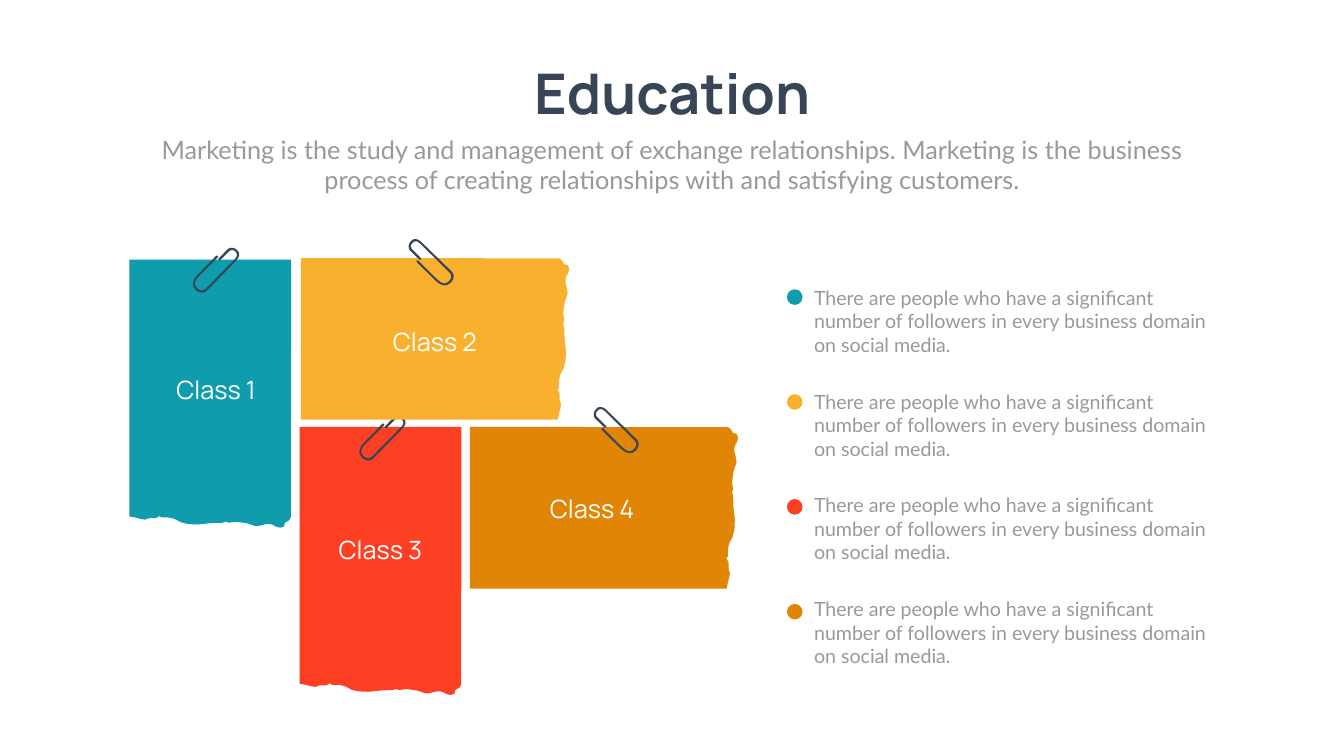
from dataclasses import dataclass

from pptx import Presentation
from pptx import util as u
from pptx.dml import color
from pptx.enum import shapes, text


@dataclass(frozen=True)
class Theme:
    background: str = "FEFFFE"
    dark: str = "374556"
    grey: str = "999999"
    white: str = "FFFFFF"
    teal: str = "0F9DAD"
    yellow: str = "FAB02F"
    red: str = "FD4024"
    orange: str = "E08505"
    heading_font: str = "Manrope"
    body_font: str = "Lato"
    title_size: int = 80
    label_size: int = 36
    subtitle_size: int = 36
    note_size: int = 28


THEME = Theme()
SHEET_WIDTH = 230
CLIP_WIDTH = 66.2
CURVE_STEPS = 6

TORN_EDGE = [
    (368, 0.5), (371.5, 2), (373.5, 4.5), (376, 9), (381, 10), (382.5, 13.5),
    (383, 16), (381.5, 22), (379, 26), (378, 30), (378, 36), (380, 44),
    (381, 50.5), (376.5, 64), (374.5, 79), (376, 89), (374.5, 93.5),
    (376, 98.5), (376.5, 114), (378.5, 133), (378, 146), (375.5, 157),
    (372, 163.5), (370, 168), (368.5, 175.5), (368.5, 185), (366.5, 188),
    (369.5, 193.5), (369.5, 203), (371.5, 209), (370.5, 215), (368.5, 222.5),
    (367, 231),
]

CLIP_START = (21, 60.5)
CLIP_SEGMENTS = [
    [(61, 19.5)],
    [(67.5, 13.5), (68.5, 7), (63.5, 3)],
    [(58.5, -2), (52.5, 0), (50.5, 1.5)],
    [(36.5, 16)],
    [(39, 18)],
    [(52.5, 4.5)],
    [(53.5, 3.5), (57.5, 1.5), (61, 5)],
    [(65, 8.5), (64, 13), (59, 17.5)],
    [(18.5, 58.5)],
    [(17.5, 59.5), (15, 60.5), (13.5, 60.5)],
    [(11.5, 61), (9.5, 60), (6.5, 57.5)],
    [(0.5, 51), (3.5, 46), (12, 37.5)],
    [(36, 13.5)],
    [(36.5, 13), (36.5, 12), (36, 11.5)],
    [(35.5, 11), (34, 11), (33.5, 11.5)],
    [(10, 35.5)],
    [(4.5, 41), (-5, 50.5), (4.5, 60)],
    [(7, 62.5), (11, 64), (13.5, 64)],
    [(16.5, 64), (18.5, 63), (21, 60.5)],
]

# name, colour, upright, sheet corner, clip corner, label corner
SHEETS = [
    ("Class 1", THEME.teal, True, (185.8, 370.8), (275, 354.2), (179.3, 530.6)),
    ("Class 3", THEME.red, True, (429.1, 609.8), (512.6, 594), (414, 760.3)),
    ("Class 4", THEME.orange, False, (671, 609.8), (848.2, 581.8), (716.4, 700.6)),
    ("Class 2", THEME.yellow, False, (429.8, 368.6), (583.9, 342), (491.8, 463)),
]
NOTE = ("There are people who have a significant number of followers "
        "in every business domain on social media.")
SUBTITLE = ("Marketing is the study and management of exchange relationships. "
            "Marketing is the business process of creating relationships "
            "with and satisfying customers.")


def paint(shape, fill):
    shape.shadow.inherit = False
    shape.fill.solid()
    shape.fill.fore_color.rgb = color.RGBColor.from_string(fill)
    shape.line.fill.background()


def add_text(slide, wording, box, font, size, fill, centred=True, wrap=True, bold=False):
    shape = slide.shapes.add_textbox(*(u.Pt(length) for length in box))
    frame = shape.text_frame
    frame.word_wrap = wrap
    frame.auto_size = text.MSO_AUTO_SIZE.SHAPE_TO_FIT_TEXT
    paragraph = frame.paragraphs[0]
    paragraph.alignment = text.PP_ALIGN.CENTER if centred else text.PP_ALIGN.LEFT
    run = paragraph.add_run()
    run.text = wording
    run.font.name = font
    run.font.size = u.Pt(size)
    run.font.bold = bold
    run.font.color.rgb = color.RGBColor.from_string(fill)


def add_outline(slide, points, corner, fill):
    left, top = corner
    placed = [(u.Pt(left + x), u.Pt(top + y)) for x, y in points]
    builder = slide.shapes.build_freeform(*placed[0])
    builder.add_line_segments(placed[1:], close=True)
    paint(builder.convert_to_shape(), fill)


def add_sheet(slide, upright, corner, fill):
    points = [(0, 0), *TORN_EDGE, (0, TORN_EDGE[-1][1])]
    if upright:
        points = [(SHEET_WIDTH - y, x) for x, y in points]
    add_outline(slide, points, corner, fill)


def curve_points(start, first, second, end):
    for step in range(1, CURVE_STEPS + 1):
        t = step / CURVE_STEPS
        weights = ((1 - t) ** 3, 3 * t * (1 - t) ** 2, 3 * t * t * (1 - t), t ** 3)
        corners = (start, first, second, end)
        yield tuple(sum(w * c[axis] for w, c in zip(weights, corners)) for axis in (0, 1))


def add_clip(slide, leaning_right, corner):
    points = [CLIP_START]
    for segment in CLIP_SEGMENTS:
        points.extend(segment if len(segment) == 1 else curve_points(points[-1], *segment))
    if not leaning_right:
        points = [(y, CLIP_WIDTH - x) for x, y in points]
    add_outline(slide, points, corner, THEME.dark)


def add_note(slide, index, fill):
    add_text(slide, NOTE, (1155.6, 404.6 + 148.3 * index, 584.6, 108.7),
             THEME.body_font, THEME.note_size, THEME.grey, centred=False)
    dot = slide.shapes.add_shape(
        shapes.MSO_SHAPE.OVAL, u.Pt(1123.9), u.Pt(413.3 + 149.8 * index),
        u.Pt(22.3), u.Pt(22.3))
    paint(dot, fill)


def main():
    presentation = Presentation()
    presentation.slide_width = u.Pt(1919.5)
    presentation.slide_height = u.Pt(1080)
    slide = presentation.slides.add_slide(presentation.slide_layouts[6])
    slide.background.fill.solid()
    slide.background.fill.fore_color.rgb = color.RGBColor.from_string(THEME.background)

    add_text(slide, "Education", (743, 80.6, 434.2, 104.4), THEME.heading_font,
             THEME.title_size, THEME.dark, wrap=False, bold=True)
    add_text(slide, SUBTITLE, (210.2, 187.9, 1499, 94.3), THEME.body_font,
             THEME.subtitle_size, THEME.grey)

    for name, fill, upright, sheet_corner, clip_corner, label_corner in SHEETS:
        add_sheet(slide, upright, sheet_corner, fill)
        add_clip(slide, upright, clip_corner)
        add_text(slide, name, (*label_corner, 258.5, 51.1), THEME.heading_font,
                 THEME.label_size, THEME.white)

    for index, fill in enumerate((THEME.teal, THEME.yellow, THEME.red, THEME.orange)):
        add_note(slide, index, fill)

    presentation.save("out.pptx")


if __name__ == "__main__":
    main()
